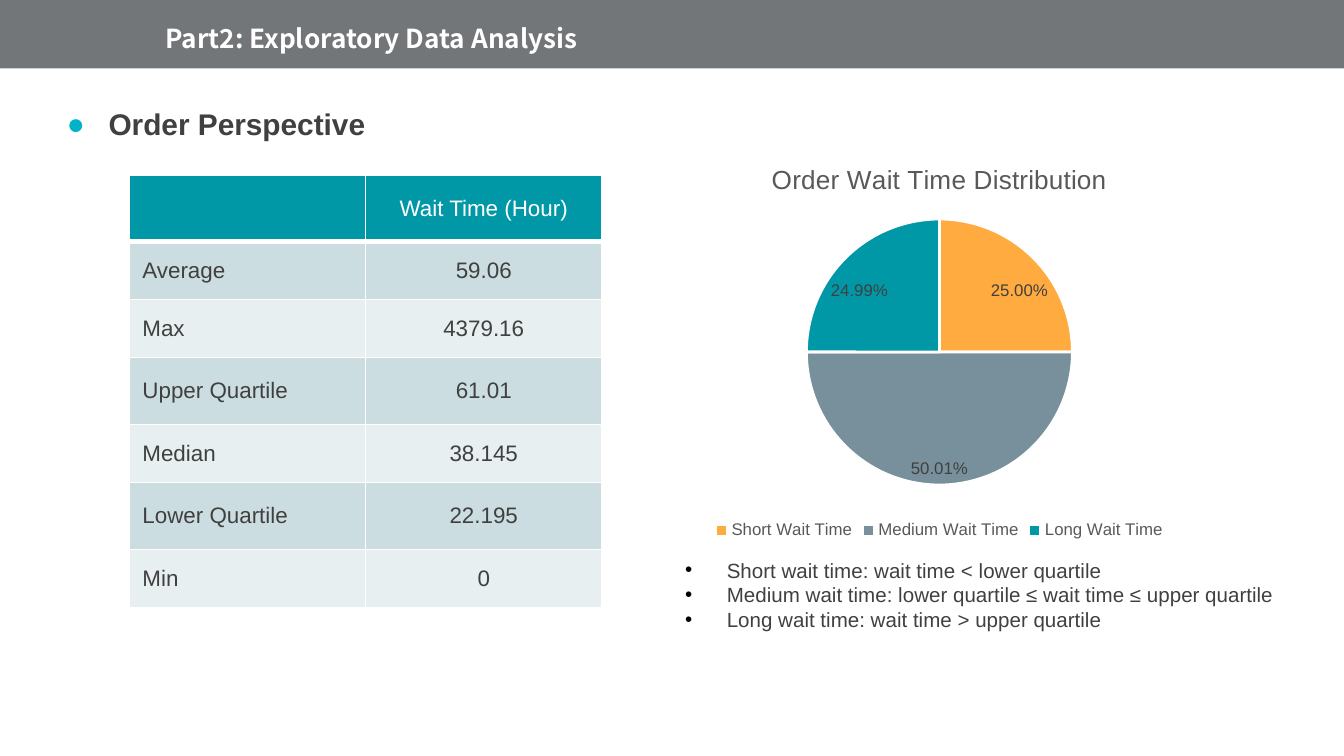
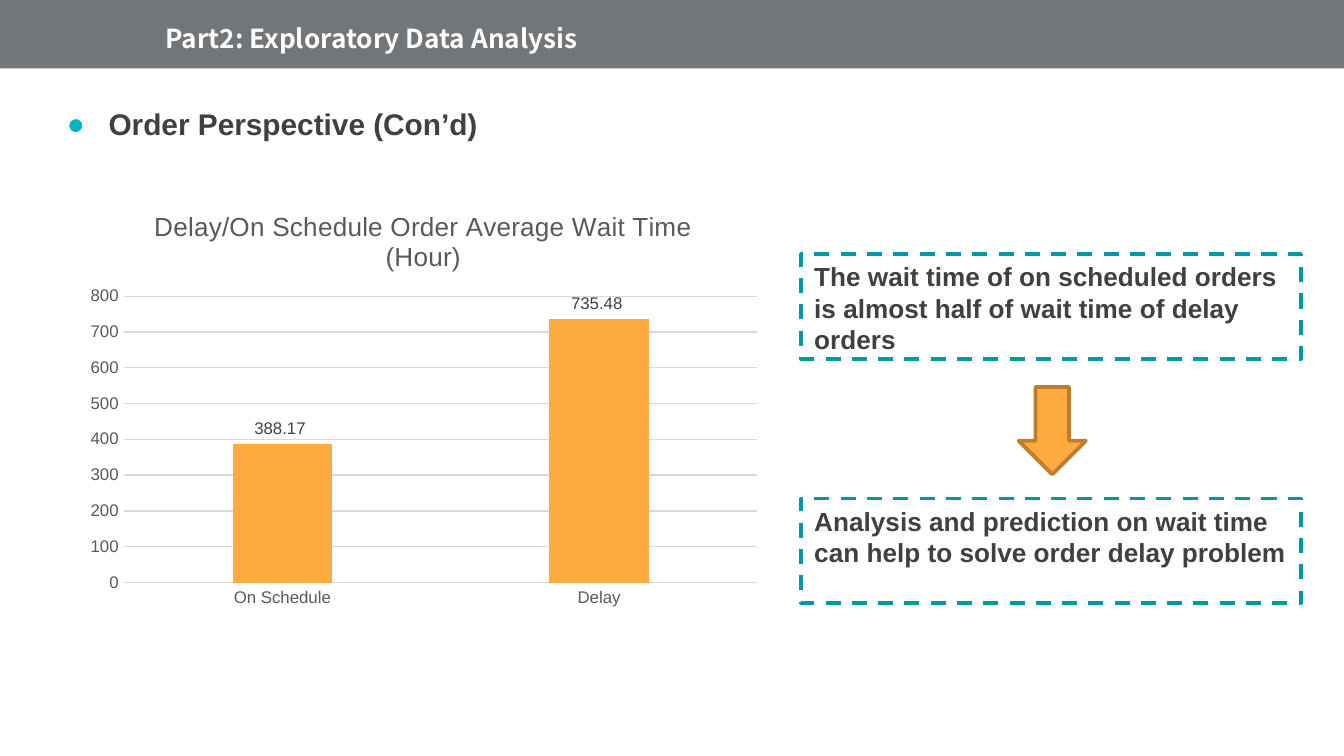
from typing import NamedTuple

from pptx import Presentation
from pptx.chart.chart import Chart
from pptx.chart.data import CategoryChartData
from pptx.dml.color import RGBColor
from pptx.enum.chart import XL_CHART_TYPE, XL_LABEL_POSITION, XL_LEGEND_POSITION, XL_TICK_MARK
from pptx.enum.dml import MSO_LINE
from pptx.enum.shapes import MSO_SHAPE
from pptx.enum.text import MSO_ANCHOR, MSO_AUTO_SIZE, PP_ALIGN
from pptx.oxml import parse_xml
from pptx.oxml.ns import nsdecls, qn
from pptx.shapes.autoshape import Shape
from pptx.slide import Slide
from pptx.table import _Cell
from pptx.text.text import Font
from pptx.util import Emu, Pt

PIE = XL_CHART_TYPE.PIE
COLUMN = XL_CHART_TYPE.COLUMN_CLUSTERED
BEST_FIT = XL_LABEL_POSITION.BEST_FIT
OUTSIDE_END = XL_LABEL_POSITION.OUTSIDE_END
LEGEND_BOTTOM = XL_LEGEND_POSITION.BOTTOM
NO_TICK = XL_TICK_MARK.NONE
DASH = MSO_LINE.DASH
RECTANGLE = MSO_SHAPE.RECTANGLE
DOWN_ARROW = MSO_SHAPE.DOWN_ARROW
TOP, MIDDLE = MSO_ANCHOR.TOP, MSO_ANCHOR.MIDDLE
LEFT, CENTER = PP_ALIGN.LEFT, PP_ALIGN.CENTER
NO_AUTOSIZE = MSO_AUTO_SIZE.NONE

PX = 9144  # 100 px to the inch
DECK_WIDTH = 1000
TITLE_ONLY = 5
BODY_FONT = "Arial"
TITLE_FONT = "Noto Sans CJK SC"
COLORS = {
    "band": "1E2327",
    "white": "FFFFFF",
    "black": "000000",
    "text": "404040",
    "chart text": "595959",
    "grid": "D9D9D9",
    "bullet": "00B3C8",
    "teal": "0097A7",
    "orange": "FFAB40",
    "orange edge": "BD7F2F",
    "slate": "78909C",
    "odd row": "CCDDE1",
    "even row": "E7EFF1",
}
WAIT_TIMES = [
    ("", "Wait Time (Hour)"),
    ("Average", "59.06"),
    ("Max", "4379.16"),
    ("Upper Quartile", "61.01"),
    ("Median", "38.145"),
    ("Lower Quartile", "22.195"),
    ("Min", "0"),
]
ROW_HEIGHTS = [50, 43, 43, 50, 43, 50, 43]
COLUMN_WIDTH = 176
DEFINITIONS = [
    "Short wait time: wait time < lower quartile",
    "Medium wait time: lower quartile ≤ wait time ≤ upper quartile",
    "Long wait time: wait time > upper quartile",
]


class Box(NamedTuple):
    left: int
    top: int
    width: int
    height: int

    def emu(self) -> list[Emu]:
        return [Emu(length * PX) for length in self]


class Bullet(NamedTuple):
    char: str
    color: str


class ChartSpec(NamedTuple):
    kind: XL_CHART_TYPE
    box: Box
    plot_area: tuple[float, float, float, float]
    title: str
    values: dict[str, float]
    number_format: str
    label_position: XL_LABEL_POSITION


class Callout(NamedTuple):
    top: int
    text: str


HEADING_BULLET = Bullet("●", "bullet")
LIST_BULLET = Bullet("•", "black")
WAIT_SHARES = ChartSpec(
    PIE, Box(449, 106, 500, 300), (0.3, 0.19, 0.4, 0.66),
    "Order Wait Time Distribution",
    {"Short Wait Time": 0.25, "Medium Wait Time": 0.5001, "Long Wait Time": 0.2499},
    "0.00%", BEST_FIT,
)
DELAY_AVERAGES = ChartSpec(
    COLUMN, Box(56, 141, 518, 318), (0.07, 0.25, 0.91, 0.67),
    "Delay/On Schedule Order Average Wait Time (Hour)",
    {"On Schedule": 388.17, "Delay": 735.48},
    r"#,##0.00_);[Red]\(#,##0.00\)", OUTSIDE_END,
)
CALLOUTS = [
    Callout(189, "The wait time of on scheduled orders is almost half of wait time of delay orders"),
    Callout(371, "Analysis and prediction on wait time can help to solve order delay problem"),
]


def rgb(name: str) -> RGBColor:
    return RGBColor.from_string(COLORS[name])


def set_font(font: Font, size: int, color: str = "text", bold: bool = False,
             name: str = BODY_FONT) -> None:
    font.name, font.size, font.bold = name, Pt(size), bold
    font.color.rgb = rgb(color)


def add_box(page: Slide, kind: MSO_SHAPE, box: Box, fill: str = "", line: str = "") -> Shape:
    """Add a flat shape; an empty colour name means no fill or no line."""
    shape = page.shapes.add_shape(kind, *box.emu())
    shape.shadow.inherit = False
    if fill:
        shape.fill.solid()
        shape.fill.fore_color.rgb = rgb(fill)
    else:
        shape.fill.background()
    if line:
        shape.line.color.rgb = rgb(line)
        shape.line.width = Pt(2)
    else:
        shape.line.fill.background()
    return shape


def add_bullets(page: Slide, box: Box, lines: list[str], bullet: Bullet,
                size: int, bold: bool = False) -> None:
    frame = page.shapes.add_textbox(*box.emu()).text_frame
    frame.word_wrap = True
    frame.text = "\n".join(lines)
    for para in frame.paragraphs:
        props = para._p.get_or_add_pPr()
        props.set("marL", str(31 * PX))
        props.set("indent", str(-31 * PX))
        for element in (
            f'<a:buClr {nsdecls("a")}><a:srgbClr val="{COLORS[bullet.color]}"/></a:buClr>',
            f'<a:buFont {nsdecls("a")} typeface="{BODY_FONT}"/>',
            f'<a:buChar {nsdecls("a")} char="{bullet.char}"/>',
        ):
            props.append(parse_xml(element))
        set_font(para.font, size, bold=bold)


def add_page(deck: Presentation, heading: str) -> Slide:
    """Add a slide with the shared band, title and bulleted heading."""
    page = deck.slides.add_slide(deck.slide_layouts[TITLE_ONLY])
    band = add_box(page, RECTANGLE, Box(0, 0, DECK_WIDTH, 51), fill="band")
    band_color = band.element.find(".//" + qn("a:srgbClr"))
    band_color.append(parse_xml(f'<a:alpha {nsdecls("a")} val="62000"/>'))

    title = page.shapes.title
    title.left, title.top, title.width, title.height = Box(113, 9, 887, 34).emu()
    band.element.addnext(title.element)
    frame = title.text_frame
    frame.text = "Part2: Exploratory Data Analysis"
    frame.auto_size = NO_AUTOSIZE
    frame.vertical_anchor = TOP
    para = frame.paragraphs[0]
    para.alignment = LEFT
    para.line_spacing = 1.1
    set_font(para.font, 14, "white", True, TITLE_FONT)

    add_bullets(page, Box(40, 74, 609, 37), [heading], HEADING_BULLET, 16, True)
    return page


def set_borders(cell: _Cell, bottom: int) -> None:
    props = cell._tc.get_or_add_tcPr()
    widths = {"lnL": 1, "lnR": 1, "lnT": 1, "lnB": bottom}
    for index, (edge, width) in enumerate(widths.items()):
        props.insert(index, parse_xml(
            f'<a:{edge} {nsdecls("a")} w="{Pt(width)}"><a:solidFill>'
            f'<a:srgbClr val="{COLORS["white"]}"/></a:solidFill></a:{edge}>'))


def add_wait_table(page: Slide) -> None:
    box = Box(96, 130, 2 * COLUMN_WIDTH, sum(ROW_HEIGHTS))
    table = page.shapes.add_table(len(WAIT_TIMES), 2, *box.emu()).table
    for row, (texts, height) in enumerate(zip(WAIT_TIMES, ROW_HEIGHTS)):
        table.rows[row].height = Emu(height * PX)
        is_header = row == 0
        fill = "teal" if is_header else "odd row" if row % 2 else "even row"
        for column, text in enumerate(texts):
            cell = table.cell(row, column)
            cell.text = text
            cell.vertical_anchor = MIDDLE
            cell.fill.solid()
            cell.fill.fore_color.rgb = rgb(fill)
            set_borders(cell, 3 if is_header else 1)
            para = cell.text_frame.paragraphs[0]
            para.alignment = CENTER if column else LEFT
            set_font(para.font, 12, "white" if is_header else "text")


def set_plot_area(chart: Chart, fractions: tuple[float, float, float, float]) -> None:
    """Fix the inner plot area as fractions of the chart."""
    area = chart.element.find(".//" + qn("c:plotArea"))
    for layout in area.findall(qn("c:layout")):
        area.remove(layout)
    modes = '<c:xMode val="edge"/><c:yMode val="edge"/>'
    sizes = "".join(f'<c:{key} val="{value}"/>' for key, value in zip("xywh", fractions))
    area.insert(0, parse_xml(
        f'<c:layout {nsdecls("c")}><c:manualLayout><c:layoutTarget val="inner"/>'
        f"{modes}{sizes}</c:manualLayout></c:layout>"))


def add_chart(page: Slide, spec: ChartSpec) -> Chart:
    data = CategoryChartData()
    data.categories = list(spec.values)
    data.add_series("Series 1", list(spec.values.values()))
    chart = page.shapes.add_chart(spec.kind, *spec.box.emu(), data).chart
    set_font(chart.font, 10, "black")
    chart.has_title = True
    frame = chart.chart_title.text_frame
    frame.text = spec.title
    set_font(frame.paragraphs[0].font, 14, "chart text")
    chart.has_legend = False
    set_plot_area(chart, spec.plot_area)

    labels = chart.plots[0].series[0].data_labels
    labels.show_value = True
    labels.show_percentage = False
    labels.number_format = spec.number_format
    labels.number_format_is_linked = False
    labels.position = spec.label_position
    set_font(labels.font, 9)
    return chart


def add_wait_pie(page: Slide) -> None:
    chart = add_chart(page, WAIT_SHARES)
    chart.has_legend = True
    chart.legend.position = LEGEND_BOTTOM
    chart.legend.include_in_layout = False
    set_font(chart.legend.font, 9, "chart text")
    plot = chart.plots[0]
    plot.vary_by_categories = True
    for index, color in enumerate(("orange", "slate", "teal")):
        style = plot.series[0].points[index].format
        style.fill.solid()
        style.fill.fore_color.rgb = rgb(color)
        style.line.color.rgb = rgb("white")
        style.line.width = Pt(1.5)


def add_delay_columns(page: Slide) -> None:
    chart = add_chart(page, DELAY_AVERAGES)
    plot = chart.plots[0]
    plot.vary_by_categories = False
    plot.gap_width, plot.overlap = 219, -27
    fill = plot.series[0].format.fill
    fill.solid()
    fill.fore_color.rgb = rgb("orange")
    for axis in (chart.category_axis, chart.value_axis):
        axis.major_tick_mark = axis.minor_tick_mark = NO_TICK
        set_font(axis.tick_labels.font, 9, "chart text")
    chart.value_axis.format.line.fill.background()
    chart.value_axis.has_major_gridlines = True
    for part in (chart.category_axis, chart.value_axis.major_gridlines):
        part.format.line.color.rgb = rgb("grid")
        part.format.line.width = Pt(0.75)


def add_callout(page: Slide, callout: Callout) -> None:
    shape = add_box(page, RECTANGLE, Box(596, callout.top, 372, 78), line="teal")
    shape.line.dash_style = DASH
    frame = shape.text_frame
    frame.text = callout.text
    frame.word_wrap = True
    frame.vertical_anchor = TOP
    para = frame.paragraphs[0]
    para.alignment = LEFT
    set_font(para.font, 14, bold=True)


def main() -> None:
    deck = Presentation()
    deck.slide_width = Emu(DECK_WIDTH * PX)
    deck.slide_height = Emu(DECK_WIDTH * PX * 9 // 16)

    page = add_page(deck, "Order Perspective")
    add_wait_table(page)
    add_bullets(page, Box(500, 410, 477, 113), DEFINITIONS, LIST_BULLET, 11)
    add_wait_pie(page)

    page = add_page(deck, "Order Perspective (Con’d)")
    add_delay_columns(page)
    for callout in CALLOUTS:
        add_callout(page, callout)
    add_box(page, DOWN_ARROW, Box(758, 288, 50, 65), "orange", "orange edge")

    deck.save("out.pptx")


if __name__ == "__main__":
    main()
